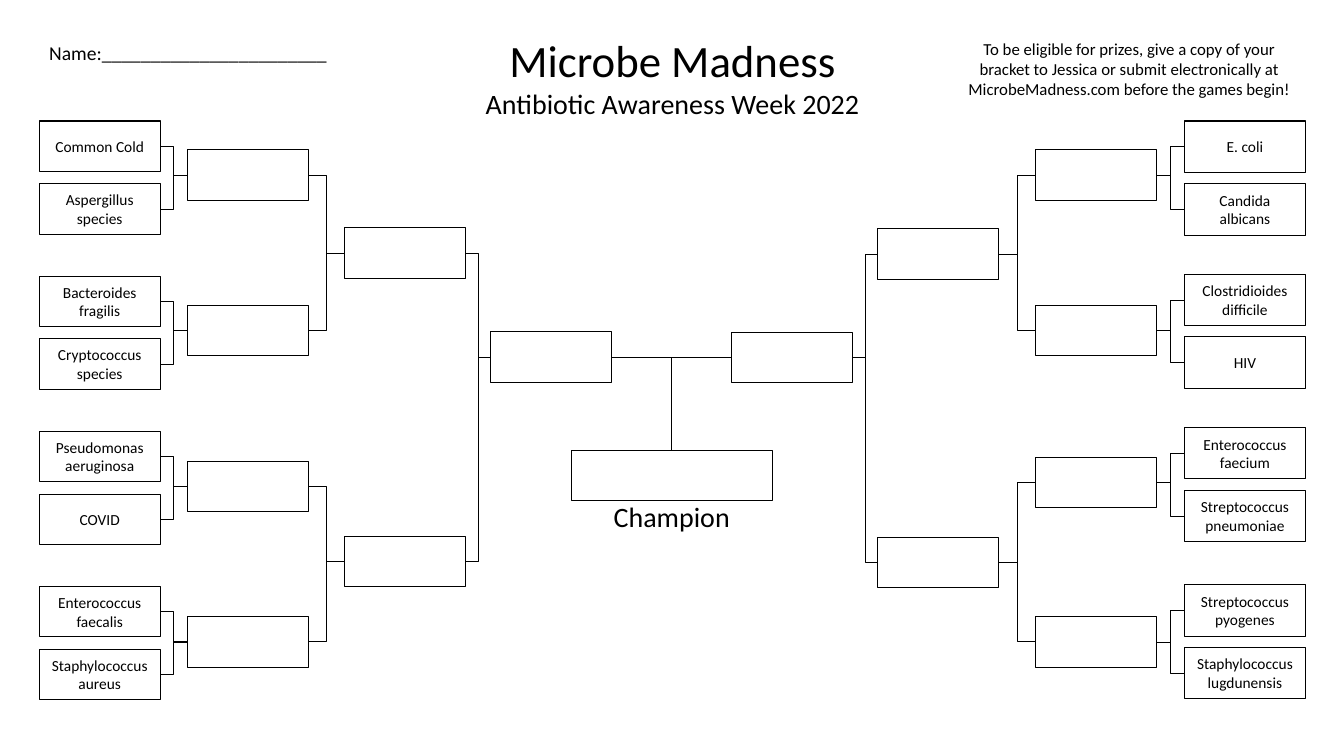
from lxml import etree
from pptx import Presentation
from pptx.dml.color import RGBColor
from pptx.enum.shapes import MSO_CONNECTOR, MSO_SHAPE
from pptx.enum.text import MSO_ANCHOR, MSO_AUTO_SIZE, PP_ALIGN
from pptx.oxml.ns import qn
from pptx.util import Cm, Pt

ELBOW = MSO_CONNECTOR.ELBOW
RECTANGLE = MSO_SHAPE.RECTANGLE
TOP, MIDDLE = MSO_ANCHOR.TOP, MSO_ANCHOR.MIDDLE
LEFT, CENTER = PP_ALIGN.LEFT, PP_ALIGN.CENTER
BLACK = RGBColor(0, 0, 0)
FONT = "Calibri"

TITLE = [("Microbe Madness", 32), ("Antibiotic Awareness Week 2022", 20)]
# Text, size, alignment, (left, top, width, height) in cm
NOTES = [
    ("Name:" + "_" * 23, 14, LEFT, (0.99, 0.91, 8.66, 0.86)),
    ("To be eligible for prizes, give a copy of your bracket to Jessica or submit "
     "electronically at MicrobeMadness.com before the games begin!",
     12, CENTER, (24.13, 0.84, 8.66, 1.8)),
    ("Champion", 20, CENTER, (13.41, 12.45, 7.04, 1.12)),
]

# Each side: teams, top of each pair, then (left, tops) of every later round
SIDES = [
    {
        "teams": ["Common Cold", "Aspergillus species", "Bacteroides fragilis",
                  "Cryptococcus species", "Pseudomonas aeruginosa", "COVID",
                  "Enterococcus faecalis", "Staphylococcus aureus"],
        "left": 0.99,
        "pair_tops": [3.05, 6.96, 10.87, 14.78],
        "team_height": 1.27,
        "rounds": [(4.72, [3.78, 7.7, 11.63, 15.54]),
                   (8.69, [5.74, 13.51]),
                   (12.37, [8.36])],
        "exit_site": 3, "entry_site": 1,
    },
    {
        "teams": ["E. coli", "Candida albicans", "Clostridioides difficile", "HIV",
                  "Enterococcus faecium", "Streptococcus pneumoniae",
                  "Streptococcus pyogenes", "Staphylococcus lugdunensis"],
        "left": 29.85,
        "pair_tops": [3.05, 6.91, 10.77, 14.73],
        "team_height": 1.3,
        "rounds": [(26.09, [3.78, 7.7, 11.53, 15.54]),
                   (22.12, [5.77, 13.54]),
                   (18.44, [8.38])],
        "exit_site": 1, "entry_site": 3,
    },
]
BOX_WIDTH, BOX_HEIGHT, PAIR_STEP = 3.05, 1.27, 1.58
CHAMPION_BOX = (14.4, 11.35, 5.08, BOX_HEIGHT)


def write(shape, lines, align, anchor):
    """Fill a shape with (text, size) paragraphs."""
    frame = shape.text_frame
    frame.word_wrap = True
    frame.auto_size = MSO_AUTO_SIZE.NONE
    frame.vertical_anchor = anchor
    for index, (text, size) in enumerate(lines):
        para = frame.add_paragraph() if index else frame.paragraphs[0]
        para.text = text
        para.alignment = align
        para.space_before = Pt(0)
        para.font.name = FONT
        para.font.size = Pt(size)
        para.font.color.rgb = BLACK


def add_box(left, top, width=BOX_WIDTH, height=BOX_HEIGHT, text=None):
    """Add an outlined bracket box, with a team name if given."""
    box = slide.shapes.add_shape(RECTANGLE, Cm(left), Cm(top), Cm(width), Cm(height))
    box.shadow.inherit = False
    box.fill.background()
    box.line.color.rgb = BLACK
    box.line.width = Pt(0.75)
    if text:
        write(box, [(text, 11)], CENTER, MIDDLE)
    return box


def add_elbow(box, site, end_x, end_y):
    """Draw an elbow line from a side of a box to a point."""
    elbow = slide.shapes.add_connector(ELBOW, box.left, box.top, end_x, end_y)
    elbow.begin_connect(box, site)
    elbow.line.color.rgb = BLACK
    elbow.line.width = Pt(0.5)
    etree.SubElement(elbow._element.spPr, qn("a:effectLst"))
    return elbow


def add_side(side):
    """Build one half of the bracket and return its finalist box."""
    boxes = [add_box(side["left"], side["pair_tops"][index // 2] + index % 2 * PAIR_STEP,
                     height=side["team_height"], text=team)
             for index, team in enumerate(side["teams"])]
    for left, tops in side["rounds"]:
        winners = [add_box(left, top) for top in tops]
        for index, box in enumerate(boxes):
            winner = winners[index // 2]
            elbow = add_elbow(box, side["exit_site"], winner.left, winner.top)
            elbow.end_connect(winner, side["entry_site"])
        boxes = winners
    return boxes[0]


deck = Presentation()
deck.slide_width, deck.slide_height = Cm(33.87), Cm(19.05)
slide = deck.slides.add_slide(deck.slide_layouts[5])

title = slide.shapes.title
title.left, title.top, title.width, title.height = Cm(6.83), Cm(0.69), Cm(20.24), Cm(2.49)
write(title, TITLE, CENTER, TOP)

left_finalist, right_finalist = [add_side(side) for side in SIDES]
champion = add_box(*CHAMPION_BOX)
left_edge = left_finalist.left + left_finalist.width
add_elbow(left_finalist, SIDES[0]["exit_site"], right_finalist.left, champion.top)
add_elbow(right_finalist, SIDES[1]["exit_site"], left_edge, champion.top)

for text, size, align, place in NOTES:
    note = slide.shapes.add_textbox(*map(Cm, place))
    write(note, [(text, size)], align, TOP)

deck.save("out.pptx")
